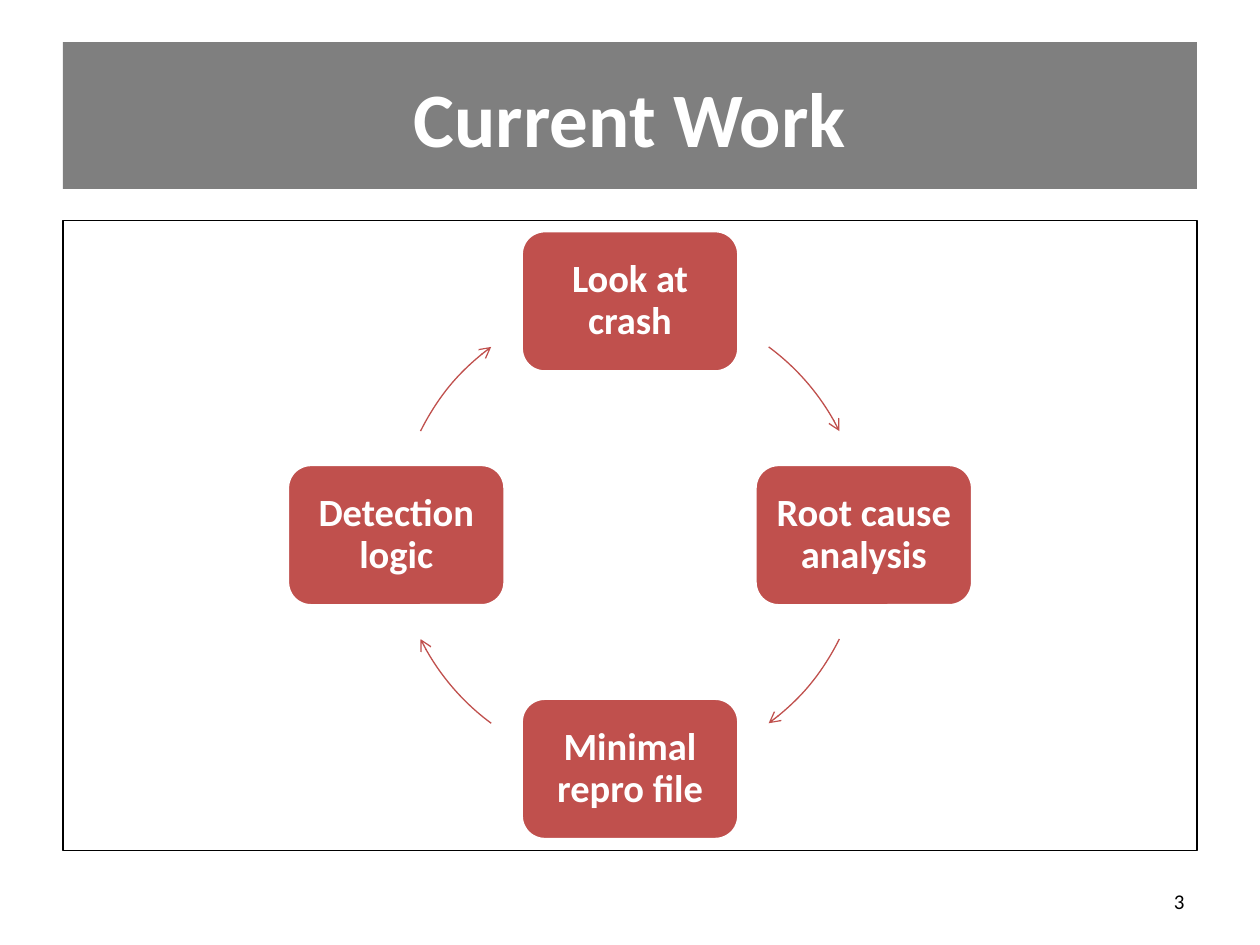
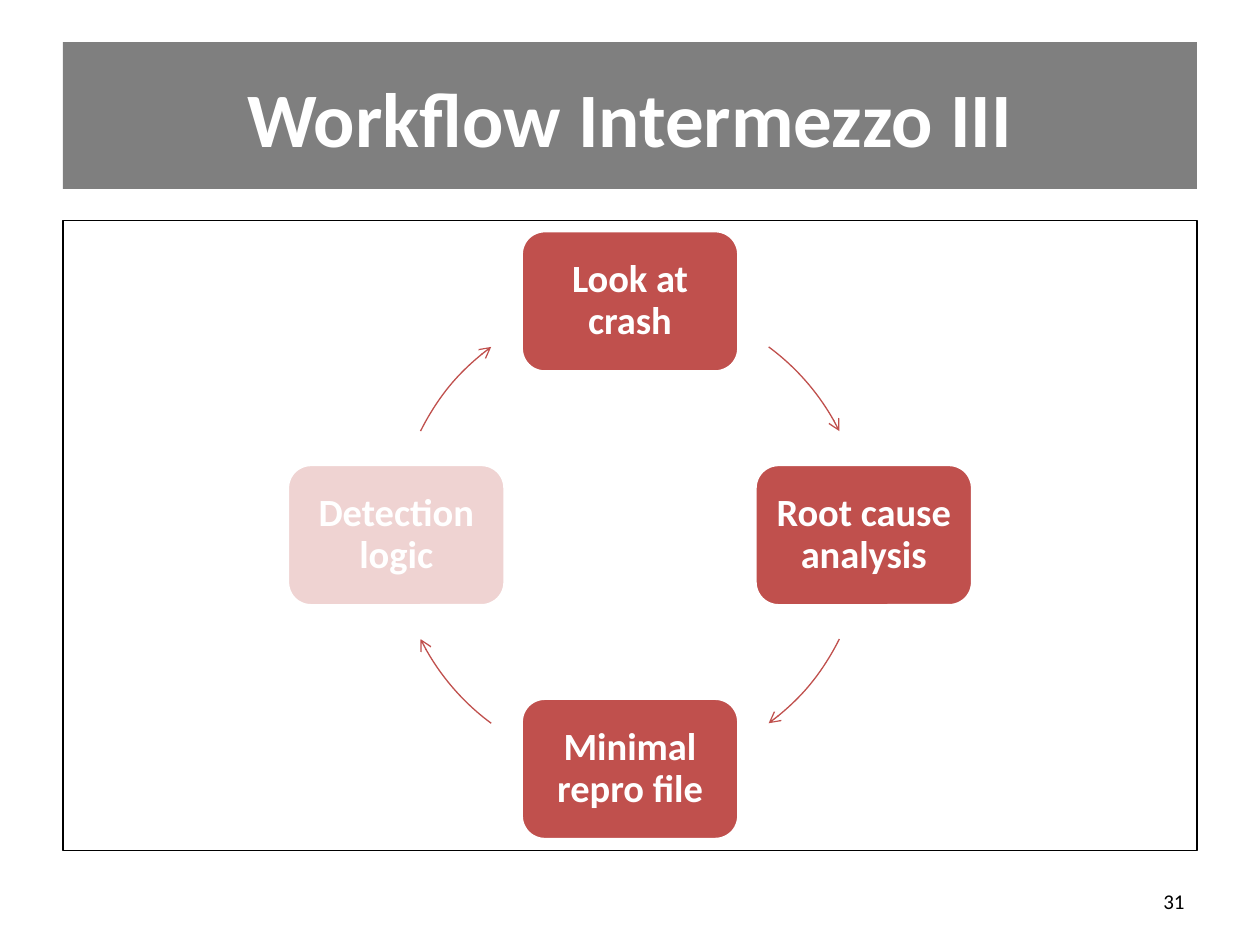
from dataclasses import dataclass
from math import cos, radians, sin

from lxml.etree import SubElement
from pptx import Presentation
from pptx.dml.color import RGBColor
from pptx.enum.shapes import MSO_SHAPE as Preset
from pptx.enum.text import MSO_ANCHOR as Anchor, PP_ALIGN as Align
from pptx.oxml.ns import qn
from pptx.shapes.autoshape import Shape
from pptx.slide import Slide
from pptx.util import Pt

COLORS = {"ink": "000000", "paper": "FFFFFF", "step": "C0504D"}
FONT = "Calibri"

# Geometry in points
SLIDE_W, SLIDE_H = 720, 540
CYCLE_X, CYCLE_Y, CYCLE_RADIUS = 360, 305.8, 133.6
STEP_W, STEP_H, STEP_INSET = 124.4, 80.8, 6.6
ARROW_HALF_SPAN = 13.6
ARROW_MIDDLES = (-40, 40, 140, 220)  # degrees, clockwise from the right


@dataclass(frozen=True)
class Box:
    left: float
    top: float
    width: float
    height: float

    def lengths(self) -> tuple[Pt, Pt, Pt, Pt]:
        return Pt(self.left), Pt(self.top), Pt(self.width), Pt(self.height)


@dataclass(frozen=True)
class TextStyle:
    size: float
    color: str
    align: Align = Align.CENTER
    bold: bool = True
    line_spacing: float = 1.0


@dataclass(frozen=True)
class Step:
    label: str
    angle: float  # degrees, clockwise from the right


@dataclass(frozen=True)
class CycleSlide:
    title: str
    number: str
    faded_step: str = ""


BAND = Box(36, 24, 648, 84)
FRAME = Box(36, 126, 648, 360)
TITLE = Box(36, 21.6, 648, 90)
NUMBER = Box(516, 500.5, 168, 28.75)

TITLE_STYLE = TextStyle(44, "paper")
STEP_STYLE = TextStyle(22, "paper", line_spacing=0.9)
NUMBER_STYLE = TextStyle(12, "ink", Align.RIGHT, bold=False)

STEPS = (
    Step("Look at crash", -90),
    Step("Root cause analysis", 0),
    Step("Minimal repro file", 90),
    Step("Detection logic", 180),
)

SLIDES = (
    CycleSlide("Current Work", "3"),
    CycleSlide("Workflow Intermezzo III", "31", faded_step="Detection logic"),
)


def rgb(name: str) -> RGBColor:
    return RGBColor.from_string(COLORS[name])


def add_preset(slide: Slide, preset: Preset, box: Box, fill: str = "", opacity: int = 100,
               line: str = "", line_width: float = 1) -> Shape:
    """Draw a flat preset shape; an empty colour name means no fill or no line."""
    shape = slide.shapes.add_shape(preset, *box.lengths())
    shape.shadow.inherit = False
    if fill:
        shape.fill.solid()
        shape.fill.fore_color.rgb = rgb(fill)
        if opacity < 100:
            color = shape._element.spPr.find(qn("a:solidFill"))[0]
            SubElement(color, qn("a:alpha"), val=str(opacity * 1000))
    else:
        shape.fill.background()
    if line:
        shape.line.color.rgb = rgb(line)
        shape.line.width = Pt(line_width)
    else:
        shape.line.fill.background()
    return shape


def write(shape: Shape, text: str, style: TextStyle) -> None:
    frame = shape.text_frame
    frame.word_wrap = True
    frame.vertical_anchor = Anchor.MIDDLE
    paragraph = frame.paragraphs[0]
    paragraph.alignment = style.align
    paragraph.line_spacing = style.line_spacing
    run = paragraph.add_run()
    run.text = text
    run.font.name = FONT
    run.font.size = Pt(style.size)
    run.font.bold = style.bold
    run.font.color.rgb = rgb(style.color)


def add_text(slide: Slide, box: Box, text: str, style: TextStyle) -> None:
    write(slide.shapes.add_textbox(*box.lengths()), text, style)


def add_step(slide: Slide, step: Step, opacity: int) -> None:
    angle = radians(step.angle)
    box = Box(CYCLE_X + CYCLE_RADIUS * cos(angle) - STEP_W / 2,
              CYCLE_Y + CYCLE_RADIUS * sin(angle) - STEP_H / 2, STEP_W, STEP_H)
    card = add_preset(slide, Preset.ROUNDED_RECTANGLE, box, "step", opacity, "paper", 2)
    frame = card.text_frame
    frame.margin_left = frame.margin_right = Pt(STEP_INSET)
    frame.margin_top = frame.margin_bottom = Pt(STEP_INSET)
    write(card, step.label, STEP_STYLE)


def add_cycle_arrow(slide: Slide, middle: float) -> None:
    """Draw a clockwise arc on the cycle's circle, with its head at the end."""
    circle = Box(CYCLE_X - CYCLE_RADIUS, CYCLE_Y - CYCLE_RADIUS,
                 2 * CYCLE_RADIUS, 2 * CYCLE_RADIUS)
    arc = add_preset(slide, Preset.ARC, circle, line="step", line_width=0.75)
    for index, offset in enumerate((-ARROW_HALF_SPAN, ARROW_HALF_SPAN)):
        # Angles are stored in 1/60000 degree, adjustments in 1/100000
        arc.adjustments[index] = (middle + offset) % 360 * 0.6
    SubElement(arc._element.spPr.find(qn("a:ln")), qn("a:tailEnd"), type="arrow")


def add_cycle_slide(deck: Presentation, content: CycleSlide) -> None:
    slide = deck.slides.add_slide(deck.slide_layouts[6])
    add_preset(slide, Preset.RECTANGLE, BAND, "ink", opacity=50)
    add_preset(slide, Preset.RECTANGLE, FRAME, line="ink")
    add_text(slide, TITLE, content.title, TITLE_STYLE)
    for step, middle in zip(STEPS, ARROW_MIDDLES):
        add_step(slide, step, 25 if step.label == content.faded_step else 100)
        add_cycle_arrow(slide, middle)
    add_text(slide, NUMBER, content.number, NUMBER_STYLE)


def main() -> None:
    deck = Presentation()
    deck.slide_width, deck.slide_height = Pt(SLIDE_W), Pt(SLIDE_H)
    for content in SLIDES:
        add_cycle_slide(deck, content)
    deck.save("out.pptx")


if __name__ == "__main__":
    main()
